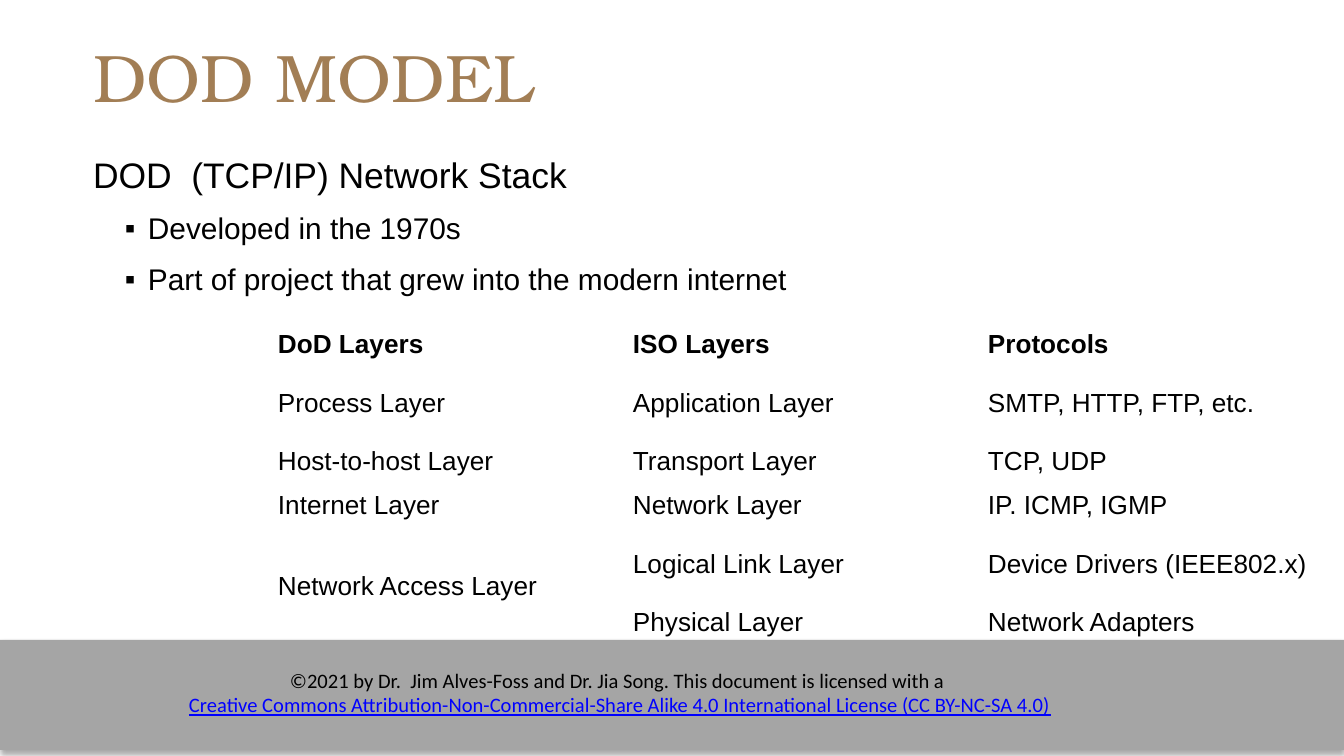
"""Builds the DOD model slide: title, bullets, layer table and licence footer."""
from dataclasses import dataclass

from lxml.etree import SubElement
from pptx import Presentation
from pptx.dml.color import RGBColor
from pptx.enum.shapes import MSO_SHAPE
from pptx.enum.text import MSO_ANCHOR, PP_ALIGN
from pptx.oxml.ns import qn
from pptx.util import Emu, Pt


@dataclass(frozen=True)
class Theme:
    gold: RGBColor = RGBColor(0xA2, 0x7E, 0x55)
    black: RGBColor = RGBColor(0, 0, 0)
    grey: RGBColor = RGBColor(0xA5, 0xA5, 0xA5)
    link: RGBColor = RGBColor(0, 0, 0xFF)
    title_font: str = "TeX Gyre Bonum"
    body_font: str = "Arial"
    footer_font: str = "Calibri"
    title_size: int = 36
    lead_size: int = 19
    bullet_size: int = 16
    table_size: int = 14
    footer_size: int = 11


theme = Theme()
EMU_PER_PX = 914400 / 134.4
NO_STYLE_NO_GRID = "{2D5ABB26-0587-4C30-8999-92F81FD0307C}"


def px(*lengths):
    return [Emu(round(length * EMU_PER_PX)) for length in lengths]


def style(paragraph, face, size, color, bold=False):
    font = paragraph.font
    font.name, font.size, font.bold = face, Pt(size), bold
    font.color.rgb = color


deck = Presentation()
deck.slide_width, deck.slide_height = px(1344, 756)
slide = deck.slides.add_slide(deck.slide_layouts[5])

footer_band = slide.shapes.add_shape(MSO_SHAPE.RECTANGLE, *px(0, 640, 1344, 110))
footer_band.fill.solid()
footer_band.fill.fore_color.rgb = theme.grey
footer_band.line.fill.background()
footer_band.shadow.inherit = False
effects = footer_band.element.spPr.find(qn("a:effectLst"))
shadow = SubElement(effects, qn("a:outerShdw"), blurRad=str(Pt(3.1)), dist=str(Pt(1.8)),
                    dir="5400000", algn="ctr", rotWithShape="0")
shadow_color = SubElement(shadow, qn("a:srgbClr"), val="000000")
SubElement(shadow_color, qn("a:alpha"), val="35000")

licence = slide.shapes.add_textbox(*px(136, 661, 968, 63)).text_frame
licence.word_wrap = True
licence.text = (
    "©2021 by Dr.  Jim Alves-Foss and Dr. Jia Song. This document is licensed with a \n"
    "Creative Commons Attribution-Non-Commercial-Share Alike 4.0 International License (CC BY-NC-SA 4.0)"
)
for paragraph, color in zip(licence.paragraphs, (theme.black, theme.link)):
    paragraph.alignment = PP_ALIGN.CENTER
    style(paragraph, theme.footer_font, theme.footer_size, color)
licence.paragraphs[1].font.underline = True

title = slide.shapes.title
title.left, title.top, title.width, title.height = px(93, 35, 1158, 101)
title.text_frame.text = "DOD MODEL"
title.text_frame.paragraphs[0].alignment = PP_ALIGN.LEFT
style(title.text_frame.paragraphs[0], theme.title_font, theme.title_size, theme.gold)

summary = slide.shapes.add_textbox(*px(93, 152, 1158, 530)).text_frame
summary.word_wrap = True
summary.text = (
    "DOD  (TCP/IP) Network Stack\n"
    "Developed in the 1970s\n"
    "Part of project that grew into the modern internet"
)
for frame in (title.text_frame, summary):
    frame.vertical_anchor = MSO_ANCHOR.TOP
    frame.margin_left = frame.margin_right = frame.margin_top = frame.margin_bottom = 0

lead, *bullets = summary.paragraphs
lead.line_spacing = 1.03
style(lead, theme.body_font, theme.lead_size, theme.black)
indent, hang = px(55, -23)
for bullet in bullets:
    bullet.level = 1
    bullet.line_spacing = 0.95
    bullet.space_before = Pt(9)
    style(bullet, theme.body_font, theme.bullet_size, theme.black)
    properties = bullet._p.get_or_add_pPr()
    properties.set("marL", str(indent))
    properties.set("indent", str(hang))
    bullet_color = SubElement(properties, qn("a:buClr"))
    SubElement(bullet_color, qn("a:srgbClr"), val=str(theme.black))
    SubElement(properties, qn("a:buFont"), typeface=theme.body_font)
    SubElement(properties, qn("a:buChar"), char="▪")
    properties.append(properties.find(qn("a:defRPr")))

layers = [
    ("DoD Layers", "ISO Layers", "Protocols"),
    ("Process Layer", "Application Layer", "SMTP, HTTP, FTP, etc."),
    ("Host-to-host Layer", "Transport Layer", "TCP, UDP"),
    ("Internet Layer", "Network Layer", "IP. ICMP, IGMP"),
    ("Network Access Layer", "Logical Link Layer", "Device Drivers (IEEE802.x)"),
    ("", "Physical Layer", "Network Adapters"),
]
row_heights = px(42, 73, 44, 44, 73, 44)
layer_table = slide.shapes.add_table(len(layers), 3, *px(268, 325, 1065, 320)).table
layer_table.first_row = layer_table.horz_banding = False
layer_table._tbl.tblPr.find(qn("a:tableStyleId")).text = NO_STYLE_NO_GRID
for column in layer_table.columns:
    column.width = px(355)[0]
side_margin, edge_margin = px(10, 5)
for row_index, (row, height, entries) in enumerate(zip(layer_table.rows, row_heights, layers)):
    row.height = height
    is_header = row_index == 0
    for cell, entry in zip(row.cells, entries):
        cell.text = entry
        cell.fill.background()
        cell.margin_left = cell.margin_right = side_margin
        cell.margin_top = cell.margin_bottom = edge_margin
        cell.vertical_anchor = MSO_ANCHOR.TOP if is_header else MSO_ANCHOR.MIDDLE
        style(cell.text_frame.paragraphs[0], theme.body_font, theme.table_size,
              theme.black, bold=is_header)
layer_table.cell(4, 0).merge(layer_table.cell(5, 0))

deck.save("out.pptx")
